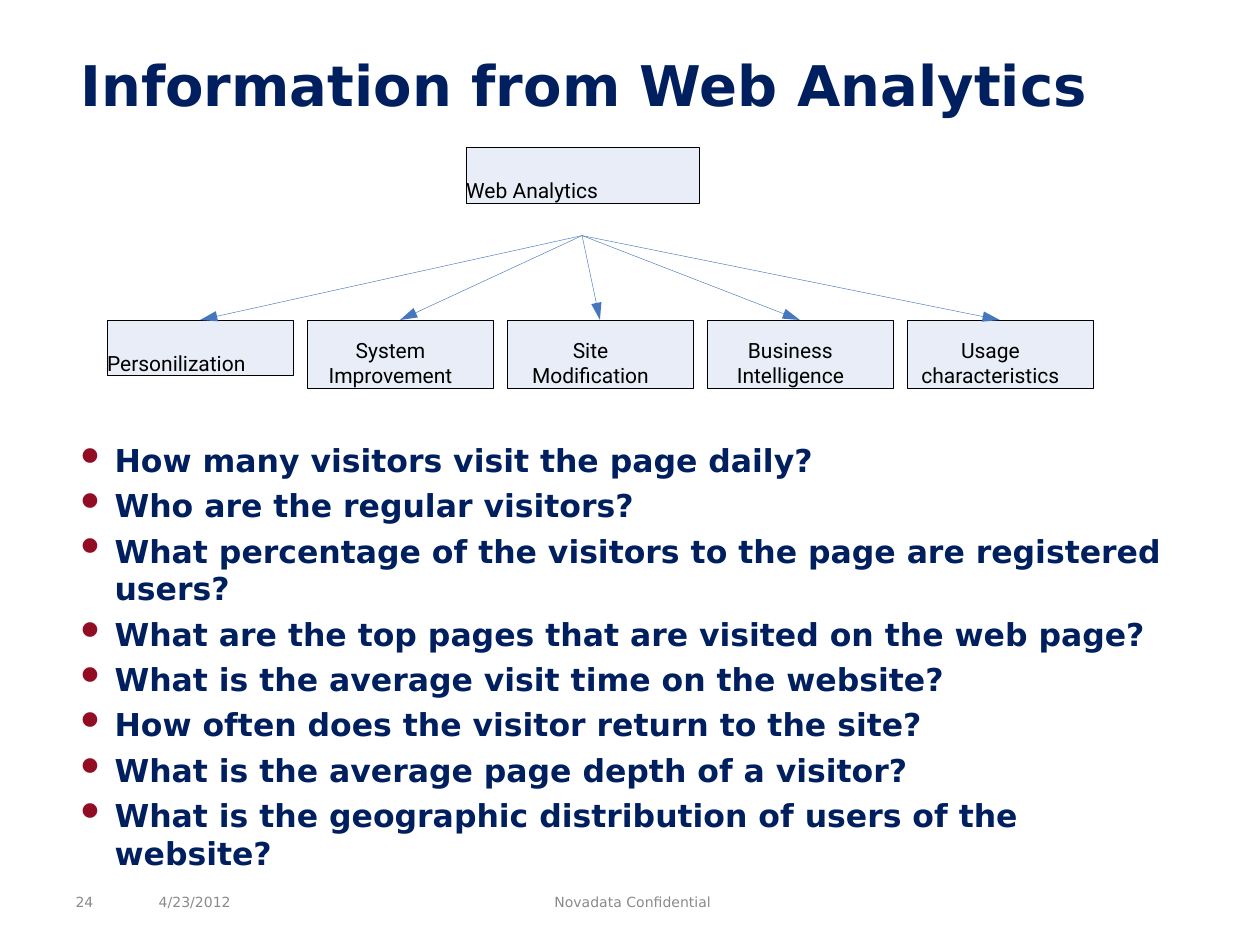
from lxml import etree
from pptx import Presentation
from pptx import util as u
from pptx.dml.color import RGBColor
from pptx.enum import shapes, text
from pptx.oxml.ns import qn

NAVY = RGBColor(0x00, 0x1F, 0x5F)
CRIMSON = RGBColor(0x92, 0x0D, 0x23)
PALE_BLUE = RGBColor(0xE8, 0xED, 0xF7)
ARROW_BLUE = RGBColor(0x46, 0x77, 0xBE)
BLACK = RGBColor(0x00, 0x00, 0x00)
GRAY = RGBColor(0x8A, 0x8A, 0x88)

COLUMNS, ROWS = 100, 75

TOPICS = ["Personilization", "System\vImprovement", "Site\vModification",
          "Business\vIntelligence", "Usage\vcharacteristics"]
QUESTIONS = [
    "How many visitors visit the page daily?",
    "Who are the regular visitors?",
    "What percentage of the visitors to the page are registered users?",
    "What are the top pages that are visited on the web page?",
    "What is the average visit time on the website?",
    "How often does the visitor return to the site?",
    "What is the average page depth of a visitor?",
    "What is the geographic distribution of users of the website?",
]
FOOTERS = [("24", 6, 2.3), ("4/23/2012", 12.6, 7), ("Novadata Confidential", 44, 14)]


class Page:
    """Draws on one slide; lengths are columns and rows of its grid."""

    heading_font = "DejaVu Sans"
    label_font = "Roboto"

    def __init__(self, deck):
        self.slide = deck.slides.add_slide(deck.slide_layouts[6])
        self.column = deck.slide_width / COLUMNS
        self.row = deck.slide_height / ROWS

    def place(self, *lengths):
        units = (self.column, self.row) * 2
        return [u.Emu(round(length * unit)) for length, unit in zip(lengths, units)]

    def set_words(self, shape, words, font, size, color, bold=False, top=0):
        frame = shape.text_frame
        frame.word_wrap = True
        frame.margin_left = frame.margin_right = frame.margin_bottom = 0
        frame.margin_top = u.Inches(top)
        frame.text = words
        for para in frame.paragraphs:
            for span in para.runs:
                span.font.name = font
                span.font.size = u.Pt(size)
                span.font.bold = bold
                span.font.color.rgb = color
        return frame

    def text(self, words, area, size, color, bold=False, top=0):
        box = self.slide.shapes.add_textbox(*self.place(*area))
        return self.set_words(box, words, self.heading_font, size, color, bold, top)

    def title(self, words, area):
        frame = self.text(words, area, 32, NAVY, bold=True, top=0.05)
        frame.paragraphs[0].alignment = text.PP_ALIGN.CENTER

    def bullets(self, lines, area):
        frame = self.text("\n".join(lines), area, 18, NAVY, bold=True, top=0.09)
        for index, para in enumerate(frame.paragraphs):
            para.space_before = u.Pt(4.3 if index else 0)
            props = para._p.get_or_add_pPr()
            props.set("marL", str(u.Inches(0.31)))
            props.set("indent", str(-u.Inches(0.3)))
            color = etree.SubElement(props, qn("a:buClr"))
            etree.SubElement(color, qn("a:srgbClr"), val=str(CRIMSON))
            etree.SubElement(props, qn("a:buChar"), char="⚫")

    def node(self, words, area):
        """Labelled box; a two-line label is centred, a single line starts at the left."""
        box = self.slide.shapes.add_shape(shapes.MSO_SHAPE.RECTANGLE, *self.place(*area))
        box.shadow.inherit = False
        box.fill.solid()
        box.fill.fore_color.rgb = PALE_BLUE
        box.line.color.rgb = BLACK
        box.line.width = u.Pt(0.25)
        frame = self.set_words(box, words, self.label_font, 12, BLACK)
        frame.vertical_anchor = text.MSO_ANCHOR.BOTTOM
        centred = "\v" in words
        frame.margin_right = u.Inches(0.15 if centred else 0)
        frame.paragraphs[0].alignment = (
            text.PP_ALIGN.CENTER if centred else text.PP_ALIGN.LEFT)

    def arrow(self, start, end):
        line = self.slide.shapes.add_connector(
            shapes.MSO_CONNECTOR.STRAIGHT, *self.place(*start, *end))
        line.line.color.rgb = ARROW_BLUE
        line.line.width = u.Pt(0.25)
        props = line._element.spPr
        etree.SubElement(props.find(qn("a:ln")), qn("a:tailEnd"),
                         type="triangle", w="med", len="lg")
        etree.SubElement(props, qn("a:effectLst"))


def main():
    deck = Presentation()
    deck.slide_width, deck.slide_height = u.Inches(10), u.Inches(7.5)
    page = Page(deck)

    page.title("Information from Web Analytics", (6, 3.5, 80.7, 5.6))
    page.bullets(QUESTIONS, (6, 34.1, 87.7, 35))

    page.node("Web Analytics", (37, 11.7, 18.5, 4.4))
    left, top, pitch, width = 8.5, 25.4, 15.87, 14.75
    for index, topic in enumerate(TOPICS):
        x = left + index * pitch
        page.node(topic, (x, top, width, 5.4 if "\v" in topic else 4.4))
        page.arrow((46.2, 18.7), (x + width / 2, top))

    for words, x, footer_width in FOOTERS:
        page.text(words, (x, 70.7, footer_width, 1.6), 8, GRAY, top=0.02)

    deck.save("out.pptx")


if __name__ == "__main__":
    main()
